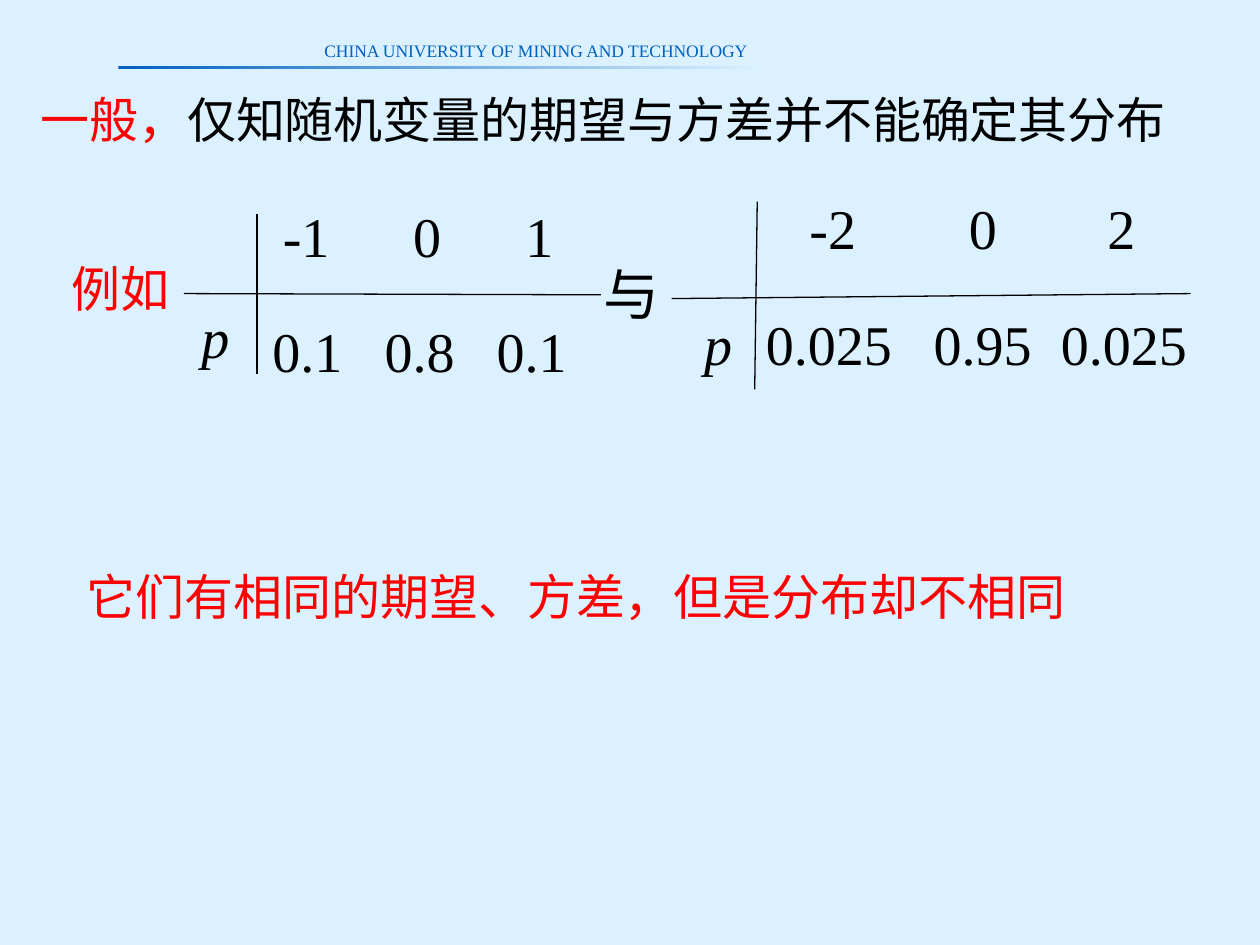
from dataclasses import dataclass

from lxml.etree import SubElement
from pptx import Presentation
from pptx.dml.color import RGBColor
from pptx.enum.shapes import MSO_CONNECTOR as Connector, MSO_SHAPE as Shape
from pptx.enum.text import MSO_ANCHOR as Anchor, PP_ALIGN as Align
from pptx.oxml.ns import qn
from pptx.util import Inches, Pt

COLUMNS, ROWS = 100, 75
CELL = Inches(0.1)
SKY = RGBColor(0xDB, 0xF1, 0xFF)
BLUE = RGBColor(0x00, 0x60, 0xC0)
RED = RGBColor(0xFF, 0x00, 0x00)
BLACK = RGBColor(0x00, 0x00, 0x00)
SERIF, CJK = "Times New Roman", "Noto Sans CJK SC"


@dataclass
class Distribution:
    """Values and probabilities, with centres and offsets in grid cells."""
    values: tuple
    chances: tuple
    value_centres: tuple
    chance_centres: tuple
    stem: tuple
    bar: tuple
    value_top: float
    chance_top: float
    label_at: tuple


def cells(*lengths):
    """Turn grid cells into slide lengths."""
    return [round(length * CELL) for length in lengths]


def add_run(paragraph, text, size, color, face=SERIF, italic=None):
    """Append one formatted run."""
    run = paragraph.add_run()
    run.text = text
    font = run.font
    font.size, font.name, font.italic = Pt(size), face, italic
    font.color.rgb = color
    SubElement(run._r.get_or_add_rPr(), qn("a:ea")).set("typeface", CJK)


def add_text(slide, box, text, size, color, face=SERIF, italic=None, inset=1, wrap=True):
    """Place a one-run text box and return its paragraph."""
    frame = slide.shapes.add_textbox(*cells(*box)).text_frame
    frame.word_wrap = wrap
    frame.margin_left = frame.margin_right = cells(inset)[0]
    paragraph = frame.paragraphs[0]
    add_run(paragraph, text, size, color, face, italic)
    return paragraph


def add_rule(slide, start, end):
    """Draw a thin black line."""
    rule = slide.shapes.add_connector(Connector.STRAIGHT, *cells(*start, *end))
    rule.line.color.rgb = BLACK
    rule.line.width = Pt(0.75)
    SubElement(rule._element.spPr, qn("a:effectLst"))


def add_header(slide, box):
    """Draw the university name above a fading rule."""
    left, top, width, height = box
    rule = slide.shapes.add_shape(
        Shape.RECTANGLE, *cells(left, top + height, width, 0.25))
    rule.shadow.inherit = False
    rule.line.fill.background()
    rule.fill.gradient()
    rule.fill.gradient_angle = 0
    for stop, color, position in zip(rule.fill.gradient_stops, (BLUE, SKY), (0, 1)):
        stop.color.rgb, stop.position = color, position
    add_text(slide, (left + 0.3 * width, top, 0.71 * width, height),
             "CHINA UNIVERSITY OF MINING AND TECHNOLOGY", 10, BLUE, wrap=False)


def add_title(slide, box):
    """Place the two-colour statement in the title placeholder."""
    title = slide.shapes.title
    title.left, title.top, title.width, title.height = cells(*box)
    frame = title.text_frame
    frame.word_wrap, frame.vertical_anchor = True, Anchor.TOP
    paragraph = frame.paragraphs[0]
    paragraph.alignment = Align.LEFT
    add_run(paragraph, "一般，", 28, RED, CJK)
    add_run(paragraph, "仅知随机变量的期望与方差并不能确定其分布", 28, BLACK, CJK)


def add_tabbed_row(slide, box, entries, centres):
    """Centre each entry on its own tab stop."""
    paragraph = add_text(slide, box, "".join(f"\t{entry}" for entry in entries),
                         32, BLACK, inset=0)
    stops = SubElement(paragraph._p.get_or_add_pPr(), qn("a:tabLst"))
    for centre in centres:
        stop = SubElement(stops, qn("a:tab"))
        stop.set("pos", str(cells(centre)[0]))
        stop.set("algn", "ctr")


def add_distribution(slide, box, law):
    """Draw a distribution table around its crossing rules."""
    left, top, width, height = box
    (stem_top, stem_bottom), (bar_left, bar_right) = law.stem, law.bar
    add_rule(slide, (left, top + bar_left), (left + width, top + bar_right))
    add_rule(slide, (left + stem_top, top), (left + stem_bottom, top + height))
    label_left, label_top = law.label_at
    add_text(slide, (left + label_left, top + label_top, 5.4, 6.4),
             "p", 32, BLACK, italic=True)
    for entries, centres, row_top in (
            (law.values, law.value_centres, law.value_top),
            (law.chances, law.chance_centres, law.chance_top)):
        row_box = (left + stem_top, top + row_top, width - stem_top + 1, 6.4)
        add_tabbed_row(slide, row_box, entries, centres)


def add_example(slide):
    """Set the two distributions side by side."""
    narrow = Distribution(("-1", "0", "1"), ("0.1", "0.8", "0.1"),
                          (3.9, 13.5, 22.4), (4, 12.9, 21.8),
                          (5.8, 5.8), (6.3, 6.4), -1.5, 7.6, (0.4, 6.5))
    wide = Distribution(("-2", "0", "2"), ("0.025", "0.95", "0.025"),
                        (6, 17.9, 28.9), (5.7, 17.9, 29.1),
                        (6.8, 6.6), (7.7, 7.3), -1.1, 8.1, (1.6, 8.1))
    add_distribution(slide, (14.6, 17, 33.1, 12.7), narrow)
    add_distribution(slide, (53.3, 16, 41.2, 14.9), wide)
    add_text(slide, (46.9, 20.1, 6.5, 6.3), "与", 32, BLACK, wrap=False)
    add_text(slide, (4.7, 20, 9.9, 5.7), "例如", 28, RED, CJK, wrap=False)


def main():
    """Build the slide and save it."""
    deck = Presentation()
    deck.slide_width, deck.slide_height = cells(COLUMNS, ROWS)
    slide = deck.slides.add_slide(deck.slide_layouts[5])
    slide.background.fill.solid()
    slide.background.fill.fore_color.rgb = SKY
    add_header(slide, (9.4, 2.7, 51.2, 2.55))
    add_title(slide, (2.2, 6.6, 95.2, 5.7))
    add_example(slide)
    add_text(slide, (5.9, 44.5, 81.9, 5.7),
             "它们有相同的期望、方差，但是分布却不相同", 28, RED)
    deck.save("out.pptx")


if __name__ == "__main__":
    main()
